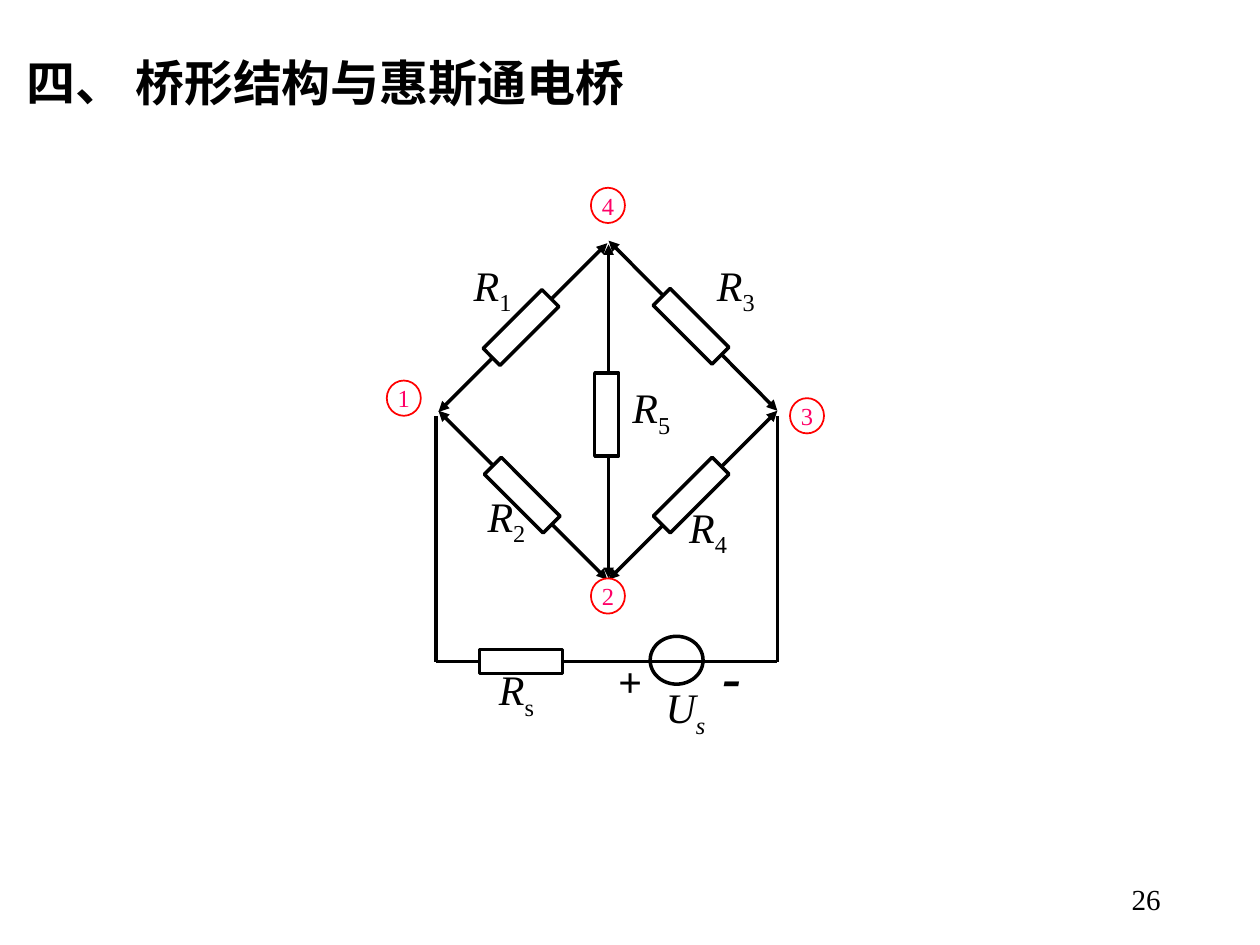
from dataclasses import dataclass

from lxml import etree
from pptx import Presentation
from pptx.dml.color import RGBColor
from pptx.enum import shapes, text
from pptx.oxml import ns
from pptx.util import Inches, Pt

FONT = "Times New Roman"
BLACK, WHITE, RED, PINK = "000000", "FFFFFF", "FF0000", "FF0066"


@dataclass
class Wire:
    x1: float
    y1: float
    x2: float
    y2: float
    arrows: bool = False


@dataclass
class Resistor:
    left: float
    top: float
    rotation: float = 0


@dataclass
class Label:
    left: float
    top: float
    symbol: str
    sub: str = ""
    sub_italic: bool = False
    size: float = 24
    height: float = 0.56


@dataclass
class Node:
    left: float
    top: float
    number: str


BRANCHES = [
    (Wire(4.83, 1.94, 4.83, 4.59, True), Resistor(4.72, 2.96)),
    (Wire(4.82, 1.93, 3.48, 3.27, True), Resistor(4.04, 2.27, 45)),
    (Wire(4.83, 1.91, 6.17, 3.26, True), Resistor(5.39, 2.26, 315)),
    (Wire(6.17, 3.26, 4.83, 4.6, True), Resistor(5.39, 3.6, 45)),
    (Wire(3.48, 3.26, 4.82, 4.6, True), Resistor(4.05, 3.6, 315)),
]
SOURCE_WIRES = [
    Wire(3.46, 3.3, 3.46, 5.25),
    Wire(6.17, 3.3, 6.17, 5.25),
    Wire(3.46, 5.25, 6.17, 5.25),
]
SOURCE_RESISTOR = Resistor(4.04, 4.92, 90)
LABELS = [
    Label(3.46, 2.01, "R", "1"),
    Label(5.39, 2.01, "R", "3"),
    Label(4.72, 2.98, "R", "5"),
    Label(3.57, 3.84, "R", "2"),
    Label(5.17, 3.93, "R", "4"),
    Label(3.65, 5.22, "R", "s"),
    Label(4.55, 5.15, "+", height=0.5),
    Label(5.36, 5.04, "-", size=32, height=0.64),
    Label(4.99, 5.36, "U", "s", sub_italic=True),
]
NODES = [
    Node(3.07, 3.02, "1"),
    Node(4.69, 4.59, "2"),
    Node(6.27, 3.16, "3"),
    Node(4.69, 1.49, "4"),
]


def rgb(value: str) -> RGBColor:
    return RGBColor.from_string(value)


def style(p, size: float, color: str = BLACK) -> None:
    p.font.name = FONT
    p.font.size = Pt(size)
    p.font.color.rgb = rgb(color)


def add_outline(s, kind, left: float, top: float, width: float, height: float,
                line: str = BLACK, weight: float = 2):
    """Add a white preset shape with a coloured outline."""
    sp = s.shapes.add_shape(kind, Inches(left), Inches(top), Inches(width), Inches(height))
    sp.shadow.inherit = False
    sp.fill.solid()
    sp.fill.fore_color.rgb = rgb(WHITE)
    sp.line.color.rgb = rgb(line)
    sp.line.width = Pt(weight)
    return sp


def add_text(s, left: float, top: float, width: float, height: float):
    """Add a wrapping text box and return its text frame."""
    tf = s.shapes.add_textbox(Inches(left), Inches(top), Inches(width), Inches(height)).text_frame
    tf.word_wrap = True
    return tf


def add_wire(s, wire: Wire) -> None:
    c = s.shapes.add_connector(shapes.MSO_CONNECTOR.STRAIGHT, Inches(wire.x1), Inches(wire.y1),
                               Inches(wire.x2), Inches(wire.y2))
    c.line.color.rgb = rgb(BLACK)
    c.line.width = Pt(2)
    if wire.arrows:
        ln = c.line._get_or_add_ln()
        for end in ("a:headEnd", "a:tailEnd"):
            etree.SubElement(ln, ns.qn(end), type="triangle")
    etree.SubElement(c._element.spPr, ns.qn("a:effectLst"))


def add_resistor(s, resistor: Resistor) -> None:
    sp = add_outline(s, shapes.MSO_SHAPE.RECTANGLE, resistor.left, resistor.top, 0.19, 0.66)
    sp.rotation = resistor.rotation


def add_label(s, label: Label) -> None:
    p = add_text(s, label.left, label.top, 0.9, label.height).paragraphs[0]
    p.alignment = text.PP_ALIGN.CENTER
    style(p, label.size)
    r = p.add_run()
    r.text = label.symbol
    r.font.italic = True
    if label.sub:
        r = p.add_run()
        r.text = label.sub
        r.font.italic = label.sub_italic
        r.font._element.set("baseline", "-25000")
    else:
        r.font.bold = True


def add_node(s, node: Node) -> None:
    sp = add_outline(s, shapes.MSO_SHAPE.OVAL, node.left, node.top, 0.27, 0.28, RED, 1)
    tf = sp.text_frame
    tf.margin_left = tf.margin_top = tf.margin_right = tf.margin_bottom = 0
    tf.word_wrap = False
    tf.vertical_anchor = text.MSO_ANCHOR.MIDDLE
    p = tf.paragraphs[0]
    p.text = node.number
    p.alignment = text.PP_ALIGN.CENTER
    style(p, 14, PINK)


def main() -> None:
    prs = Presentation()
    prs.slide_width, prs.slide_height = Inches(10), Inches(7.5)
    s = prs.slides.add_slide(prs.slide_layouts[6])

    tf = add_text(s, 7.06, 6.95, 2.25, 0.4)
    tf.vertical_anchor = text.MSO_ANCHOR.MIDDLE
    p = tf.paragraphs[0]
    p.text = "26"
    p.alignment = text.PP_ALIGN.RIGHT
    p.line_spacing = 0.9
    style(p, 16.6)

    p = add_text(s, 0.11, 0.37, 5.25, 0.57).paragraphs[0]
    p.text = "四、 桥形结构与惠斯通电桥"
    style(p, 28)
    p.font.bold = True

    add_outline(s, shapes.MSO_SHAPE.OVAL, 5.16, 5.05, 0.42, 0.38)
    for wire, resistor in BRANCHES:
        add_wire(s, wire)
        add_resistor(s, resistor)
    for wire in SOURCE_WIRES:
        add_wire(s, wire)
    add_resistor(s, SOURCE_RESISTOR)
    for label in LABELS:
        add_label(s, label)
    for node in NODES:
        add_node(s, node)

    prs.save("out.pptx")


if __name__ == "__main__":
    main()
